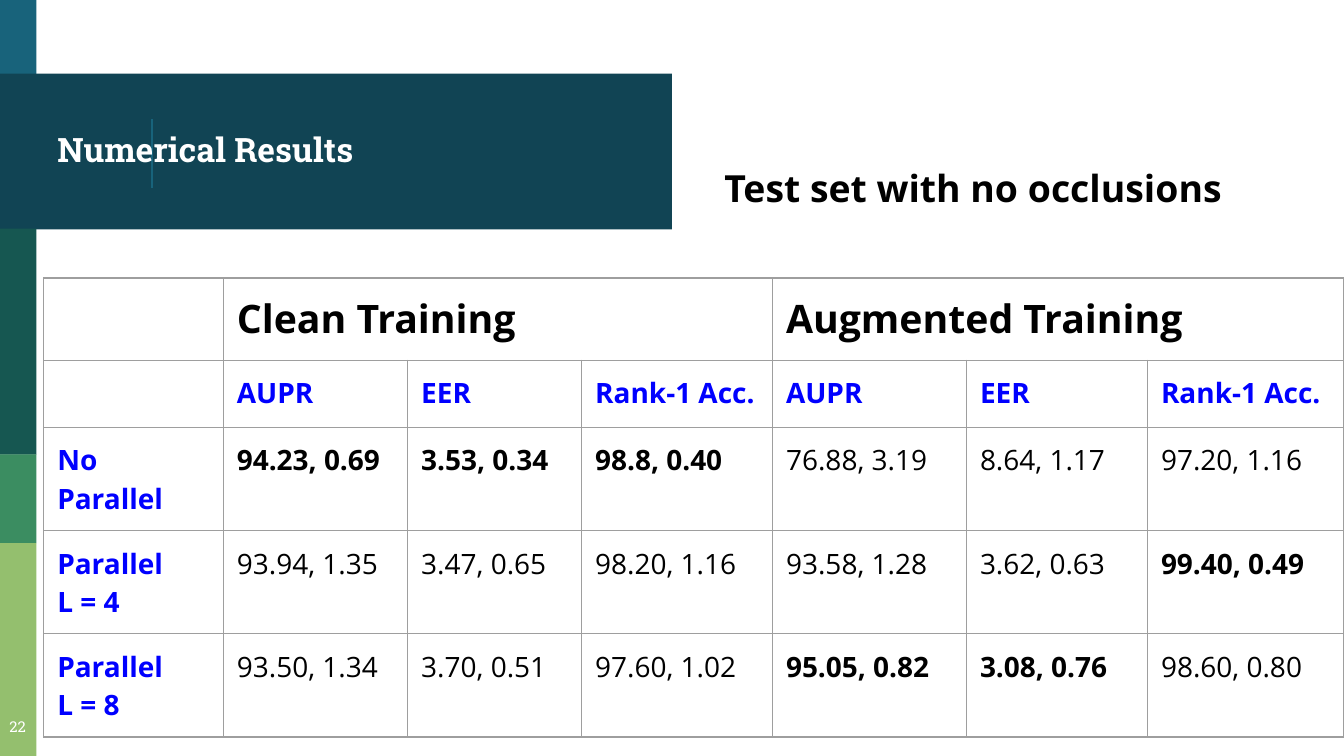
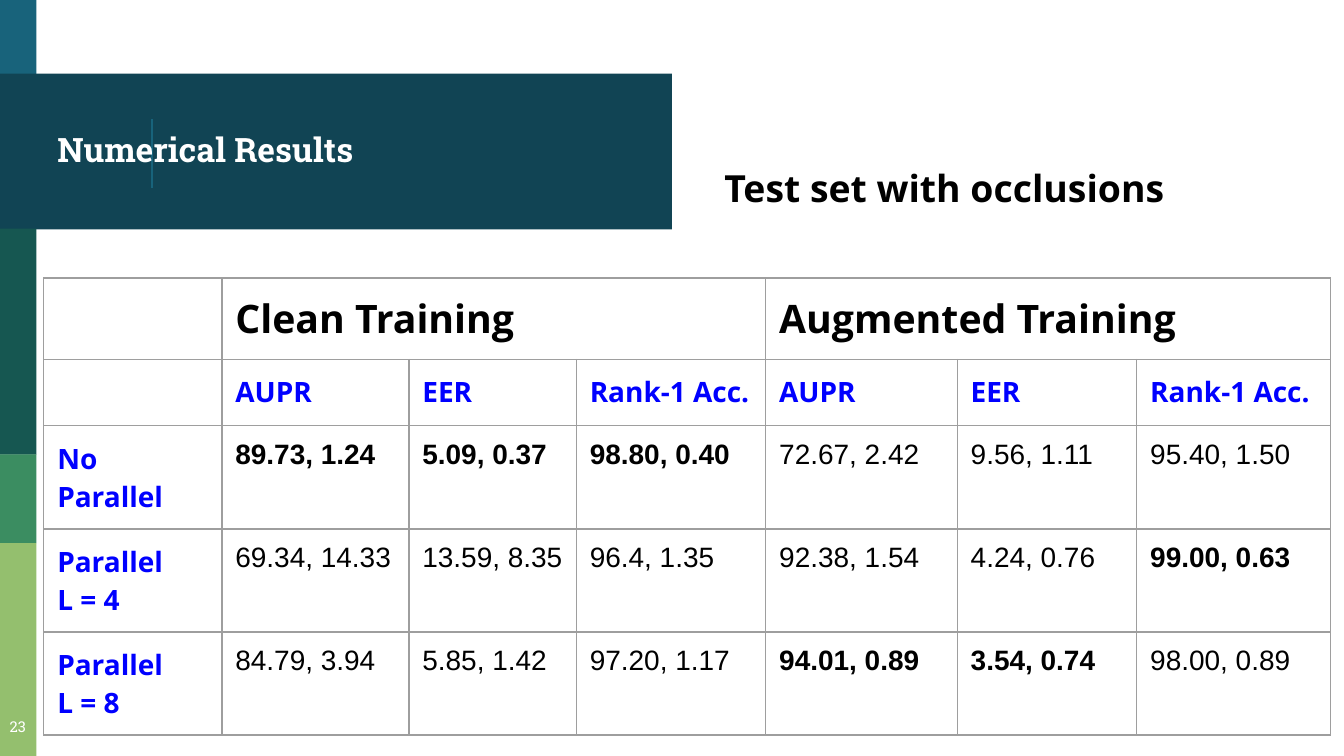
import dataclasses

import pptx
import pptx.dml.color
import pptx.enum.shapes
import pptx.enum.text
import pptx.oxml
import pptx.oxml.ns
import pptx.util

Pt = pptx.util.Pt
RGB = pptx.dml.color.RGBColor.from_string


@dataclasses.dataclass(frozen=True)
class Theme:
    blue: str = "18637B"
    navy: str = "114454"
    teal: str = "165751"
    green: str = "3B8D61"
    lime: str = "94BF6E"
    white: str = "FFFFFF"
    black: str = "000000"
    label: str = "0000FF"
    grid: str = "9E9E9E"
    slab: str = "Roboto Slab"
    sans: str = "Open Sans"
    title_size: float = 18
    caption_size: float = 20
    group_size: float = 21
    cell_size: float = 15
    number_size: float = 8
    inset: float = 7.2
    line: float = 0.75


theme = Theme()


def write(frame, text, font, size, color, bold=False):
    """Fill a text frame with one paragraph, breaking at each newline."""
    frame.margin_left = frame.margin_right = Pt(theme.inset)
    frame.margin_top = frame.margin_bottom = Pt(theme.inset)
    frame.word_wrap = True
    para = frame.paragraphs[0]
    for index, line in enumerate(text.split("\n")):
        if index:
            para.add_line_break()
        span = para.add_run()
        span.text = line
        span.font.name = font
        span.font.size = Pt(size)
        span.font.bold = bold
        span.font.color.rgb = RGB(color)
    return para


def outline(cell):
    """Clear the fill of a table cell and draw its four borders."""
    cell.fill.background()
    properties = cell._tc.get_or_add_tcPr()
    for index, side in enumerate(("lnL", "lnR", "lnT", "lnB")):
        properties.insert(index, pptx.oxml.parse_xml(
            f'<a:{side} {pptx.oxml.ns.nsdecls("a")} w="{Pt(theme.line)}">'
            f'<a:solidFill><a:srgbClr val="{theme.grid}"/></a:solidFill>'
            f'</a:{side}>'))


# Shared parts: left strip and title band as (top, width, height, colour)
bands = [
    (0, 19.5, 42, theme.blue),
    (39.5, 360, 83.5, theme.navy),
    (122.5, 19.5, 121, theme.teal),
    (243.5, 19.5, 47.5, theme.green),
    (291, 19.5, 114, theme.lime),
]
groups = ["Clean Training", "Augmented Training"]
measures = ["AUPR", "EER", "Rank-1 Acc."]
methods = ["No Parallel", "Parallel \nL = 4", "Parallel \nL = 8"]
best_method = [0, 0, 0, 2, 2, 1]  # row of the bold result in each column

# What differs between the slides
results = [
    dict(
        number="22", caption="Test set with no occlusions", font=theme.sans,
        widths=[96.2, 98.8, 93.2, 102.3, 103.9, 97, 104.8],
        heights=[44, 36, 55.3, 55.3, 55.3],
        scores=[
            ["94.23, 0.69", "3.53, 0.34", "98.8, 0.40",
             "76.88, 3.19", "8.64, 1.17", "97.20, 1.16"],
            ["93.94, 1.35", "3.47, 0.65", "98.20, 1.16",
             "93.58, 1.28", "3.62, 0.63", "99.40, 0.49"],
            ["93.50, 1.34", "3.70, 0.51", "97.60, 1.02",
             "95.05, 0.82", "3.08, 0.76", "98.60, 0.80"],
        ]),
    dict(
        number="23", caption="Test set with occlusions", font="Arial",
        widths=[95.4, 100.2, 89.7, 101.5, 102.6, 96.2, 104],
        heights=[43.6, 35.6, 55.2, 55.2, 55.2],
        scores=[
            ["89.73, 1.24", "5.09, 0.37", "98.80, 0.40",
             "72.67, 2.42", "9.56, 1.11", "95.40, 1.50"],
            ["69.34, 14.33", "13.59, 8.35", "96.4, 1.35",
             "92.38, 1.54", "4.24, 0.76", "99.00, 0.63"],
            ["84.79, 3.94", "5.85, 1.42", "97.20, 1.17",
             "94.01, 0.89", "3.54, 0.74", "98.00, 0.89"],
        ]),
]

deck = pptx.Presentation()
deck.slide_width, deck.slide_height = Pt(720), Pt(405)

for result in results:
    page = deck.slides.add_slide(deck.slide_layouts[5])

    # Bands and the thin line in the title band
    for top, width, height, color in bands:
        band = page.shapes.add_shape(
            pptx.enum.shapes.MSO_SHAPE.RECTANGLE,
            Pt(0), Pt(top), Pt(width), Pt(height))
        band.shadow.inherit = False
        band.fill.solid()
        band.fill.fore_color.rgb = RGB(color)
        band.line.fill.background()
    rule = page.shapes.add_connector(
        pptx.enum.shapes.MSO_CONNECTOR.STRAIGHT,
        Pt(81.5), Pt(64), Pt(81.5), Pt(100.5))
    rule.line.color.rgb = RGB(theme.blue)
    rule.line.width = Pt(theme.line)
    rule._element.spPr.append(pptx.oxml.parse_xml(
        f'<a:effectLst {pptx.oxml.ns.nsdecls("a")}/>'))

    # Title, brought in front of its band
    title = page.shapes.title
    page.shapes._spTree.append(title._element)
    title.left, title.top = Pt(23.5), Pt(39.5)
    title.width, title.height = Pt(334), Pt(81)
    para = write(title.text_frame, "Numerical Results", theme.slab,
                 theme.title_size, theme.white, True)
    para.alignment = pptx.enum.text.PP_ALIGN.LEFT
    title.text_frame.vertical_anchor = pptx.enum.text.MSO_ANCHOR.MIDDLE
    title.text_frame.auto_size = pptx.enum.text.MSO_AUTO_SIZE.NONE

    # Page number
    box = page.shapes.add_textbox(Pt(-4), Pt(379.5), Pt(27), Pt(25.5))
    para = write(box.text_frame, result["number"], theme.slab,
                 theme.number_size, theme.white)
    para.alignment = pptx.enum.text.PP_ALIGN.CENTER

    # Table grid
    widths, heights = result["widths"], result["heights"]
    table = page.shapes.add_table(
        len(heights), len(widths), Pt(23.5), Pt(149),
        Pt(sum(widths)), Pt(sum(heights))).table
    table.first_row = table.horz_banding = False
    for column, width in zip(table.columns, widths):
        column.width = Pt(width)
    for row, height in zip(table.rows, heights):
        row.height = Pt(height)
    for cell in table.iter_cells():
        outline(cell)
        cell.text_frame.paragraphs[0].font.size = Pt(theme.cell_size)

    # Table headings
    for index, group in enumerate(groups):
        first = 1 + index * len(measures)
        cell = table.cell(0, first)
        cell.merge(table.cell(0, first + len(measures) - 1))
        write(cell.text_frame, group, theme.sans, theme.group_size,
              theme.black, True)
    for column, measure in enumerate(measures * len(groups), 1):
        write(table.cell(1, column).text_frame, measure, theme.sans,
              theme.cell_size, theme.label, True)

    # Table results
    for row, (method, scores) in enumerate(zip(methods, result["scores"])):
        write(table.cell(row + 2, 0).text_frame, method, theme.sans,
              theme.cell_size, theme.label, True)
        for column, score in enumerate(scores):
            write(table.cell(row + 2, column + 1).text_frame, score,
                  result["font"], theme.cell_size, theme.black,
                  best_method[column] == row)
    for cell in table.iter_cells():
        cell.margin_left = cell.margin_right = Pt(theme.inset)
        cell.margin_top = cell.margin_bottom = Pt(theme.inset)

    # Caption beside the title band
    box = page.shapes.add_textbox(Pt(381), Pt(81.5), Pt(288), Pt(39))
    write(box.text_frame, result["caption"], theme.sans,
          theme.caption_size, theme.black, True)
    box.text_frame.auto_size = pptx.enum.text.MSO_AUTO_SIZE.SHAPE_TO_FIT_TEXT

deck.save("out.pptx")
